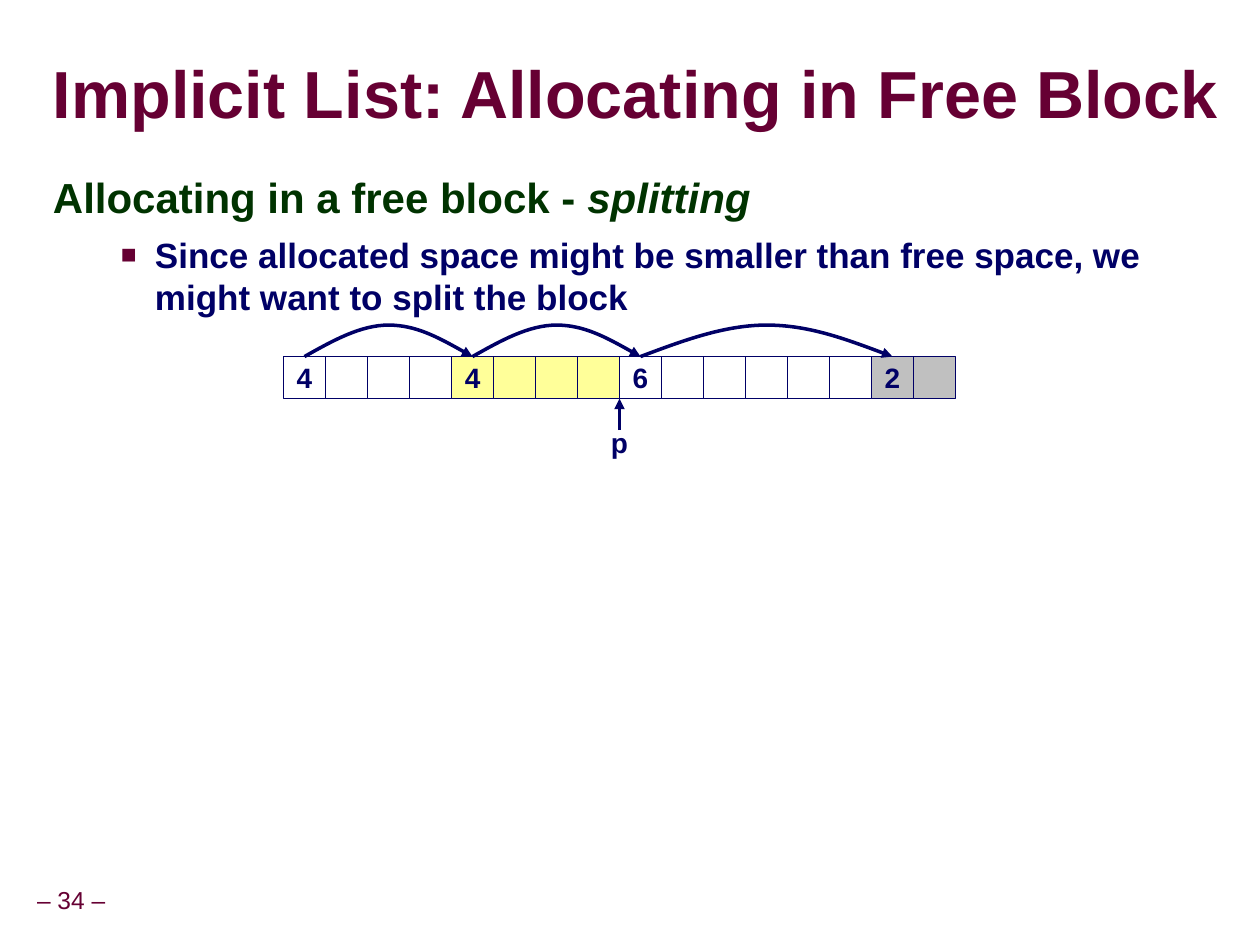
"""Build the slide on splitting a free block in an implicit list."""
from lxml.etree import SubElement
from pptx import Presentation
from pptx.dml.color import RGBColor
from pptx.enum.shapes import MSO_CONNECTOR, MSO_SHAPE
from pptx.enum.text import MSO_ANCHOR, PP_ALIGN
from pptx.oxml.ns import qn
from pptx.util import Inches, Pt

COLORS = {"plum": "660033", "green": "003300", "navy": "000066",
          "white": "FFFFFF", "yellow": "FFFF99", "gray": "C0C0C0", "shadow": "969696"}
TITLE = "Implicit List: Allocating in Free Block"
BODY = [
    {"runs": [("Allocating in a free block - ", False), ("splitting", True)],
     "level": 0, "size": 24, "color": "green", "indent": (0.42, -0.42),
     "spacing": {"line_spacing": 0.95, "space_before": Pt(15)}},
    {"runs": [("Since allocated space might be smaller than free space, "
               "we might want to split the block", False)],
     "level": 1, "size": 20, "color": "navy", "indent": (0.81, -0.27),
     "spacing": {"line_spacing": 1.0, "space_before": Pt(6.2)}},
]
BLOCKS = [(4, "white"), (4, "yellow"), (6, "white"), (2, "gray")]
POINTER_BLOCK = 2
CELL = 1 / 3
ROW_LEFT, ROW_TOP = 2.25, 2.83
ARC_HEIGHT = 0.25
INSETS = (0.1, 0.05, 0.1, 0.05)


def rgb(name):
    return RGBColor.from_string(COLORS[name])


def add_node(parent, tag, **attributes):
    return SubElement(parent, qn(tag), attributes)


def format_frame(frame, insets=INSETS, wrap=False, anchor=MSO_ANCHOR.TOP):
    sides = ("margin_left", "margin_top", "margin_right", "margin_bottom")
    values = dict(zip(sides, map(Inches, insets)), word_wrap=wrap, vertical_anchor=anchor)
    for name, value in values.items():
        setattr(frame, name, value)


def add_run(paragraph, text, size, color, bold=True, italic=False):
    run = paragraph.add_run()
    run.text = text
    values = {"name": "Arial", "size": Pt(size), "bold": bold, "italic": italic}
    for name, value in values.items():
        setattr(run.font, name, value)
    run.font.color.rgb = rgb(color)
    return run


def place(shape, *box):
    for name, value in zip(("left", "top", "width", "height"), box):
        setattr(shape, name, Inches(value))


def add_label(slide, box, text, size, color, bold, align, anchor):
    label = slide.shapes.add_textbox(*map(Inches, box))
    format_frame(label.text_frame, anchor=anchor)
    paragraph = label.text_frame.paragraphs[0]
    paragraph.alignment = align
    add_run(paragraph, text, size, color, bold)
    return paragraph


def style_arrow(shape):
    shape.line.color.rgb = rgb("navy")
    shape.line.width = Pt(2)
    add_node(shape.line._get_or_add_ln(), "a:tailEnd", type="triangle")
    add_node(shape._element.spPr, "a:effectLst")


def add_title(slide):
    title = slide.shapes.title
    place(title, 0.42, 0.46, 9.42, 0.63)
    format_frame(title.text_frame, (0, 0, 0, 0), True, MSO_ANCHOR.MIDDLE)
    paragraph = title.text_frame.paragraphs[0]
    paragraph.alignment, paragraph.line_spacing = PP_ALIGN.LEFT, 0.87
    run = add_run(paragraph, TITLE, 38, "plum")
    effects = add_node(run.font._element, "a:effectLst")
    run.font._element.find(qn("a:solidFill")).addnext(effects)
    shadow = add_node(effects, "a:outerShdw", dist="50800", dir="2700000")
    add_node(shadow, "a:srgbClr", val=COLORS["shadow"])


def add_body(slide):
    body = slide.placeholders[1]
    place(body, 0.32, 1.34, 9.09, 5.71)
    format_frame(body.text_frame, wrap=True)
    for index, item in enumerate(BODY):
        frame = body.text_frame
        paragraph = frame.add_paragraph() if index else frame.paragraphs[0]
        paragraph.level = item["level"]
        for name, value in item["spacing"].items():
            setattr(paragraph, name, value)
        for text, italic in item["runs"]:
            add_run(paragraph, text, item["size"], item["color"], italic=italic)
        properties = paragraph._p.get_or_add_pPr()
        for name, value in zip(("marL", "indent"), item["indent"]):
            properties.set(name, str(Inches(value)))
        if item["level"]:
            color = add_node(properties, "a:buClr")
            add_node(color, "a:srgbClr", val=COLORS["plum"])
            add_node(properties, "a:buSzPct", val="75000")
            add_node(properties, "a:buFont", typeface="Arial")
            add_node(properties, "a:buChar", char="■")
        else:
            add_node(properties, "a:buNone")


def add_cell(slide, index, text, color):
    box = (ROW_LEFT + index * CELL, ROW_TOP, CELL, CELL)
    cell = slide.shapes.add_shape(MSO_SHAPE.RECTANGLE, *map(Inches, box))
    cell.shadow.inherit = False
    cell.fill.solid()
    cell.fill.fore_color.rgb = rgb(color)
    cell.line.color.rgb = rgb("navy")
    cell.line.width = Pt(0.26)
    if text:
        format_frame(cell.text_frame, anchor=MSO_ANCHOR.MIDDLE)
        paragraph = cell.text_frame.paragraphs[0]
        paragraph.alignment = PP_ALIGN.CENTER
        add_run(paragraph, text, 16, "navy")


def add_arc(slide, start, end):
    rises = (0, 0.5, 1, 1, 1, 0.5, 0)
    points = [(Inches(start + (end - start) * step / 6), Inches(ROW_TOP - ARC_HEIGHT * rise))
              for step, rise in enumerate(rises)]
    builder = slide.shapes.build_freeform(*points[0])
    builder.add_line_segments(points[1:], close=False)
    arc = builder.convert_to_shape()
    arc.fill.background()
    outline = next(arc._element.iter(qn("a:path")))
    segments = outline.findall(qn("a:lnTo"))
    for first in (0, 3):
        curve = add_node(outline, "a:cubicBezTo")
        for segment in segments[first:first + 3]:
            curve.append(segment[0])
            outline.remove(segment)
    style_arrow(arc)


def add_heap(slide):
    starts = [sum(size for size, _ in BLOCKS[:index]) for index in range(len(BLOCKS))]
    for start, (size, color) in zip(starts, BLOCKS):
        for offset in range(size):
            add_cell(slide, start + offset, "" if offset else str(size), color)
    centers = [ROW_LEFT + (start + 0.5) * CELL for start in starts]
    for start, end in zip(centers, centers[1:]):
        add_arc(slide, start, end)
    pointer = ROW_LEFT + starts[POINTER_BLOCK] * CELL
    bottom = ROW_TOP + CELL
    ends = (pointer, bottom + 0.25, pointer, bottom)
    style_arrow(slide.shapes.add_connector(MSO_CONNECTOR.STRAIGHT, *map(Inches, ends)))
    add_label(slide, (pointer - CELL / 2, 3.33, CELL, 0.37), "p", 16, "navy", True,
              PP_ALIGN.LEFT, MSO_ANCHOR.TOP)


presentation = Presentation()
presentation.slide_width, presentation.slide_height = Inches(10), Inches(7.5)
slide = presentation.slides.add_slide(presentation.slide_layouts[1])
add_title(slide)
add_body(slide)
add_heap(slide)
page = add_label(slide, (-0.09, 7, 1.31, 0.31), "– 34 –", 14, "plum", False,
                 PP_ALIGN.CENTER, MSO_ANCHOR.MIDDLE)
page.line_spacing = 0.9
presentation.save("out.pptx")
